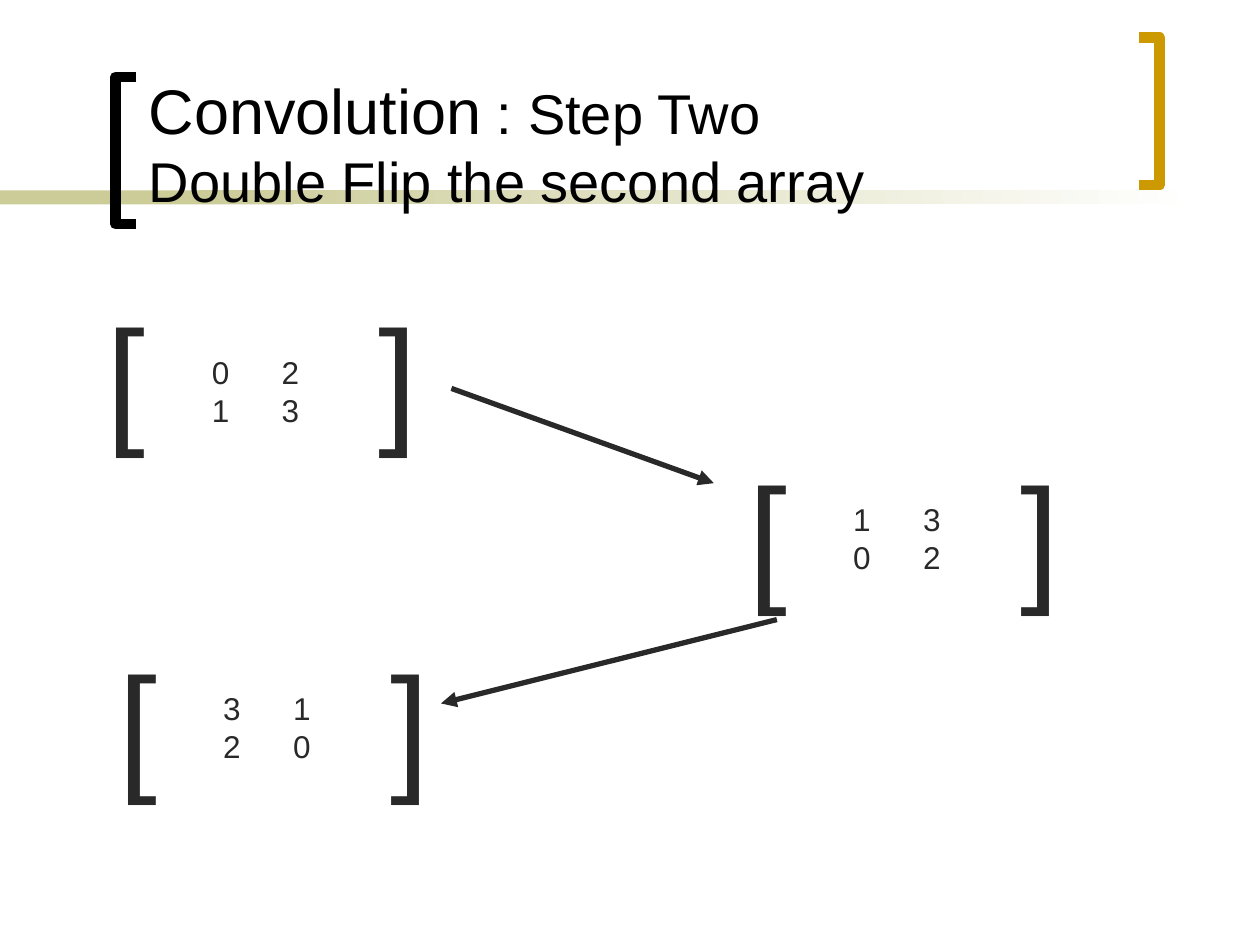
"""Build the convolution slide that flips the second array twice."""
from lxml.etree import SubElement
from pptx import Presentation
from pptx.dml.color import RGBColor
from pptx.enum.shapes import MSO_CONNECTOR as Link, MSO_SHAPE as Shape
from pptx.enum.text import MSO_ANCHOR as Anchor
from pptx.oxml.ns import qn
from pptx.util import Cm, Pt

BLACK = RGBColor(0x00, 0x00, 0x00)
WHITE = RGBColor(0xFF, 0xFF, 0xFF)
INK = RGBColor(0x29, 0x29, 0x29)
SAND = RGBColor(0xCC, 0xCC, 0x99)
GOLD = RGBColor(0xCC, 0x99, 0x00)

deck = Presentation()
deck.slide_width, deck.slide_height = Cm(25.4), Cm(19.05)
page = deck.slides.add_slide(deck.slide_layouts[6])


def add_span(para, text, size, color):
    span = para.add_run()
    span.text = text
    span.font.name = "Arial"
    span.font.size = Pt(size)
    span.font.color.rgb = color


def add_tabbed_box(left, top, width, height, lines, size, tab):
    box = page.shapes.add_textbox(Cm(left), Cm(top), Cm(width), Cm(height))
    frame = box.text_frame
    frame.word_wrap = True
    frame.margin_right = 0
    for index, line in enumerate(lines):
        para = frame.paragraphs[0] if index == 0 else frame.add_paragraph()
        stops = SubElement(para._p.get_or_add_pPr(), qn("a:tabLst"))
        SubElement(stops, qn("a:tab"), pos=str(Cm(tab)), algn="l")
        add_span(para, "\t".join(line), size, INK)


for left, width, fades in [(0, 5.92, False), (4.01, 20.12, True)]:
    band = page.shapes.add_shape(Shape.RECTANGLE, Cm(left), Cm(3.84), Cm(width), Cm(0.28))
    band.shadow.inherit = False
    band.line.fill.background()
    if fades:
        band.fill.gradient()
        band.fill.gradient_angle = 0
        for stop, color in zip(band.fill.gradient_stops, (SAND, WHITE)):
            stop.color.rgb = color
    else:
        band.fill.solid()
        band.fill.fore_color.rgb = SAND

for tip, spine, top, color in [(2.75, 2.33, 1.55, BLACK), (22.96, 23.38, 0.76, GOLD)]:
    bottom = top + 2.97
    builder = page.shapes.build_freeform(Cm(tip), Cm(top))
    corners = [(spine, top), (spine, bottom), (tip, bottom)]
    builder.add_line_segments([(Cm(x), Cm(y)) for x, y in corners], close=False)
    bracket = builder.convert_to_shape()
    bracket.shadow.inherit = False
    bracket.fill.background()
    bracket.line.color.rgb = color
    bracket.line.width = Pt(6)

title = page.shapes.add_textbox(Cm(2.75), Cm(1.48), Cm(20.52), Cm(2.96))
title.text_frame.word_wrap = True
title.text_frame.vertical_anchor = Anchor.BOTTOM
heading = title.text_frame.paragraphs[0]
add_span(heading, "Convolution", 36, BLACK)
add_span(heading, " : Step Two", 32, BLACK)
heading.add_line_break()
add_span(heading, "Double Flip the second array", 32, BLACK)

arrays = [
    (1.9, 5.72, 1.27, ["02", "13"]),
    (14.83, 8.89, 1.07, ["13", "02"]),
    (2.13, 12.7, 1.07, ["31", "20"]),
]
for left, top, drop, rows in arrays:
    add_tabbed_box(left, top, 6.78, 3.66, ["[]"], 80, 5.49)
    add_tabbed_box(left + 2.12, top + drop, 2.26, 1.78, rows, 18, 1.41)

for start_x, start_y, end_x, end_y in [(9.1, 7.83, 14.39, 9.74), (15.66, 12.49, 8.89, 14.18)]:
    arrow = page.shapes.add_connector(
        Link.STRAIGHT, Cm(start_x), Cm(start_y), Cm(end_x), Cm(end_y))
    arrow.line.color.rgb = INK
    arrow.line.width = Pt(3)
    SubElement(arrow.line._get_or_add_ln(), qn("a:tailEnd"), type="triangle")
    SubElement(arrow._element.spPr, qn("a:effectLst"))

deck.save("out.pptx")
